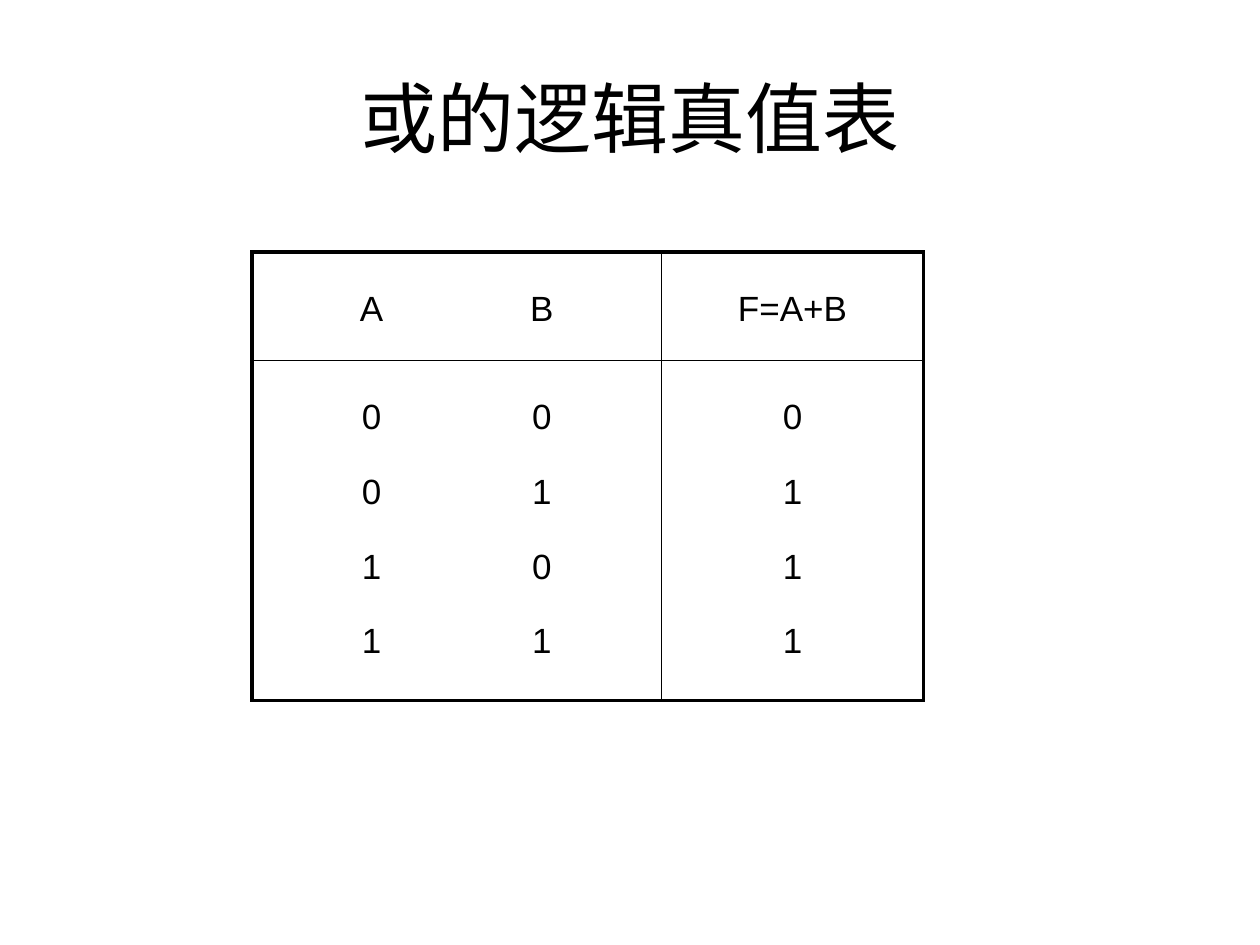
from lxml.etree import SubElement
from pptx import Presentation
from pptx.dml.color import RGBColor
from pptx.enum.text import MSO_ANCHOR, PP_ALIGN
from pptx.oxml import parse_xml
from pptx.oxml.ns import nsdecls, qn
from pptx.util import Inches, Pt

COLORS = {"ink": "000000", "paper": "FFFFFF"}
FONT = "Arial"
THIN, THICK = Pt(1), Pt(2.25)
INPUT_TABS = (0.85, 2.2)
COL_WIDTHS = (3.25, 2.08)
ROW_HEIGHTS = (0.86, 2.7)
CELLS = [
    [["\tA\tB"], ["F=A+B"]],
    [["\t0\t0", "\t0\t1", "\t1\t0", "\t1\t1"], ["0", "1", "1", "1"]],
]


def add_run(p, text, size):
    r = p.add_run()
    r.text = text
    r.font.name = FONT
    r.font.size = Pt(size)
    r.font.color.rgb = RGBColor.from_string(COLORS["ink"])


def add_title(slide, text):
    title = slide.shapes.title
    title.left, title.top = Inches(0.5), Inches(0.3)
    title.width, title.height = Inches(9), Inches(1.25)
    tf = title.text_frame
    tf.vertical_anchor = MSO_ANCHOR.MIDDLE
    p = tf.paragraphs[0]
    p.alignment = PP_ALIGN.CENTER
    add_run(p, text, 44)


def set_borders(cell, widths):
    """Draw the left, right, top and bottom borders of a cell."""
    tc_pr = cell._tc.get_or_add_tcPr()
    for i, (side, width) in enumerate(zip("LRTB", widths)):
        tc_pr.insert(i, parse_xml(
            f'<a:ln{side} {nsdecls("a")} w="{width}"><a:solidFill>'
            f'<a:srgbClr val="{COLORS["ink"]}"/></a:solidFill></a:ln{side}>'))


def add_center_tabs(p, stops):
    tabs = SubElement(p._p.get_or_add_pPr(), qn("a:tabLst"))
    for stop in stops:
        SubElement(tabs, qn("a:tab"), pos=str(Inches(stop)), algn="ctr")


def fill_cell(cell, lines):
    cell.fill.background()
    tf = cell.text_frame
    for i, line in enumerate(lines):
        p = tf.add_paragraph() if i else tf.paragraphs[0]
        if "\t" in line:
            add_center_tabs(p, INPUT_TABS)
            p.alignment = PP_ALIGN.LEFT
        else:
            p.alignment = PP_ALIGN.CENTER
        p.line_spacing = 1.8
        if i:
            p.space_before = Pt(2.6)
        add_run(p, line, 20)


def add_truth_table(slide):
    rows, cols = len(ROW_HEIGHTS), len(COL_WIDTHS)
    table = slide.shapes.add_table(
        rows, cols, Inches(2), Inches(2),
        Inches(sum(COL_WIDTHS)), Inches(sum(ROW_HEIGHTS))).table
    table.first_row = table.horz_banding = False
    for column, width in zip(table.columns, COL_WIDTHS):
        column.width = Inches(width)
    for row, height in zip(table.rows, ROW_HEIGHTS):
        row.height = Inches(height)
    for r, row_cells in enumerate(CELLS):
        for c, lines in enumerate(row_cells):
            cell = table.cell(r, c)
            fill_cell(cell, lines)
            outer = (c == 0, c == cols - 1, r == 0, r == rows - 1)
            set_borders(cell, [THICK if edge else THIN for edge in outer])


def main():
    prs = Presentation()
    prs.slide_width, prs.slide_height = Inches(10), Inches(7.5)
    slide = prs.slides.add_slide(prs.slide_layouts[5])
    bg = slide.background.fill
    bg.solid()
    bg.fore_color.rgb = RGBColor.from_string(COLORS["paper"])
    add_title(slide, "或的逻辑真值表")
    add_truth_table(slide)
    prs.save("out.pptx")


if __name__ == "__main__":
    main()
